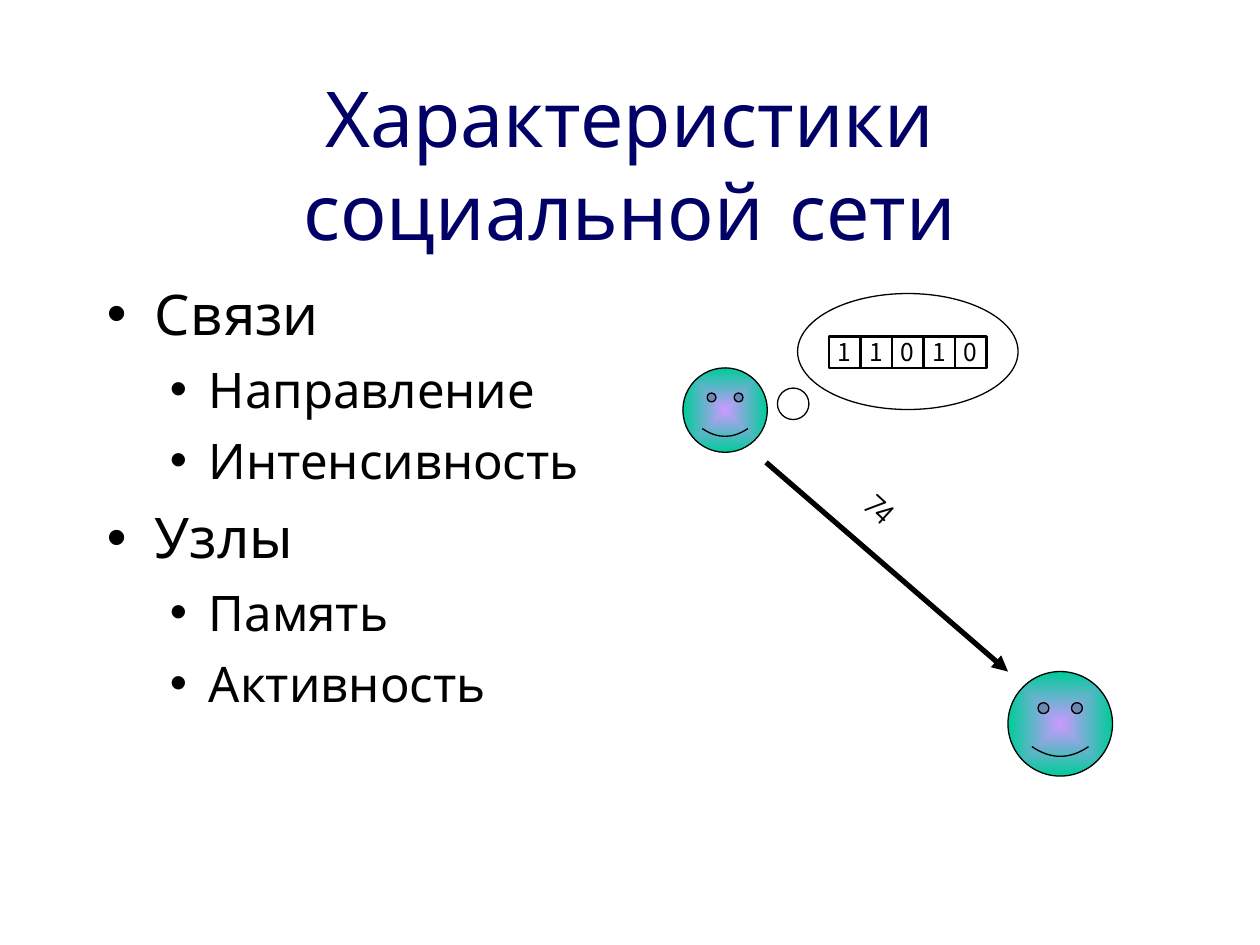
from dataclasses import dataclass
from typing import Any

from lxml import etree
from pptx import Presentation
from pptx.dml import color
from pptx.enum import shapes, text
from pptx.oxml import ns
from pptx.util import Inches, Pt

BLACK, WHITE, NAVY = "000000", "FFFFFF", "000066"
LILAC, GREEN = "CC99FF", "00CC99"
HAND_FONT, DIGIT_FONT = "Comic Neue", "Noto Sans CJK KR"


@dataclass(frozen=True)
class Figure:
    kind: Any
    left: float
    top: float
    width: float
    height: float
    line: float = 0.74
    label: str = ""


@dataclass(frozen=True)
class Level:
    size: float
    before: float
    margin: float
    hanging: float


LEVELS = (Level(32, 8, 0.38, 0.38), Level(28, 7, 0.81, 0.31))
TOPICS = {
    "Связи": ("Направление", "Интенсивность"),
    "Узлы": ("Память", "Активность"),
}
OVAL = shapes.MSO_SHAPE.OVAL
FACE = shapes.MSO_SHAPE.SMILEY_FACE
CELL = shapes.MSO_SHAPE.RECTANGLE
CELL_SIZE = 0.25
MEMORY = [
    Figure(CELL, 6.58 + index * CELL_SIZE, 2.67, CELL_SIZE, CELL_SIZE, 1.25, bit)
    for index, bit in enumerate("11010")
]
FIGURES = [
    Figure(OVAL, 6.33, 2.33, 1.75, 0.92),
    Figure(FACE, 5.42, 2.92, 0.67, 0.67),
    Figure(OVAL, 6.17, 3.08, 0.25, 0.25),
    *MEMORY,
    Figure(FACE, 8, 5.33, 0.83, 0.83),
]


def rgb(value: str) -> color.RGBColor:
    return color.RGBColor.from_string(value)


def apply(target: Any, values: dict[str, Any]) -> None:
    for name, value in values.items():
        setattr(target, name, value)


def add_node(parent: Any, tag: str, **values: str) -> Any:
    return etree.SubElement(parent, ns.qn(tag), values)


def write(para: Any, words: str, size: float, font: str, ink: str = BLACK) -> None:
    span = para.add_run()
    span.text = words
    apply(span.font, {"size": Pt(size), "name": font})
    span.font.color.rgb = rgb(ink)
    props = span.font._element
    for tag in ("a:ea", "a:cs"):
        add_node(props, tag, typeface=font)


def add_bullet(para: Any, words: str, depth: int) -> None:
    level = LEVELS[depth]
    apply(para, {"level": depth, "space_before": Pt(level.before)})
    props = para._p.get_or_add_pPr()
    props.set("marL", str(Inches(level.margin)))
    props.set("indent", str(-Inches(level.hanging)))
    add_node(add_node(props, "a:buClr"), "a:srgbClr", val=BLACK)
    add_node(props, "a:buFont", typeface="Arial")
    add_node(props, "a:buChar", char="•")
    write(para, words, level.size, HAND_FONT)


def fill_face(shape: Any) -> None:
    shape.adjustments[0] = 0.093
    shape.fill.gradient()
    for stop, ink in zip(shape.fill.gradient_stops, (LILAC, GREEN)):
        stop.color.rgb = rgb(ink)
    gradient = shape._element.spPr.find(ns.qn("a:gradFill"))
    gradient.remove(gradient.find(ns.qn("a:lin")))
    center = add_node(gradient, "a:path", path="rect")
    add_node(center, "a:fillToRect", l="50000", t="50000", r="50000", b="50000")


def add_figure(page: Any, figure: Figure) -> None:
    place = (figure.left, figure.top, figure.width, figure.height)
    shape = page.shapes.add_shape(figure.kind, *map(Inches, place))
    shape.shadow.inherit = False
    shape.line.color.rgb = rgb(BLACK)
    shape.line.width = Pt(figure.line)
    if figure.kind == FACE:
        fill_face(shape)
    else:
        shape.fill.solid()
        shape.fill.fore_color.rgb = rgb(WHITE)
    if figure.label:
        frame = shape.text_frame
        apply(frame, {"word_wrap": False, "vertical_anchor": text.MSO_ANCHOR.MIDDLE})
        para = frame.paragraphs[0]
        para.alignment = text.PP_ALIGN.CENTER
        write(para, figure.label, 14, DIGIT_FONT)


def add_arrow(page: Any, start: tuple[float, float], end: tuple[float, float]) -> None:
    points = map(Inches, (*start, *end))
    arrow = page.shapes.add_connector(shapes.MSO_CONNECTOR.STRAIGHT, *points)
    arrow.line.color.rgb = rgb(BLACK)
    arrow.line.width = Pt(3)
    add_node(arrow.line._get_or_add_ln(), "a:tailEnd", type="triangle")
    add_node(arrow._element.spPr, "a:effectLst")


def add_title(page: Any) -> None:
    title = page.shapes.title
    apply(title, {
        "left": Inches(0.75), "top": Inches(0.67),
        "width": Inches(8.5), "height": Inches(1.25),
    })
    apply(title.text_frame, {
        "word_wrap": True,
        "auto_size": text.MSO_AUTO_SIZE.NONE,
        "vertical_anchor": text.MSO_ANCHOR.MIDDLE,
    })
    para = title.text_frame.paragraphs[0]
    para.alignment = text.PP_ALIGN.CENTER
    write(para, "Характеристики социальной сети", 44, HAND_FONT, NAVY)


def add_topics(page: Any) -> None:
    box = page.shapes.add_textbox(*map(Inches, (0.75, 2.17, 8.5, 4.5)))
    frame = box.text_frame
    frame.word_wrap = True
    entries = [
        entry
        for topic, details in TOPICS.items()
        for entry in ((topic, 0), *((detail, 1) for detail in details))
    ]
    for index, (words, depth) in enumerate(entries):
        para = frame.add_paragraph() if index else frame.paragraphs[0]
        add_bullet(para, words, depth)


def add_weight(page: Any) -> None:
    box = page.shapes.add_textbox(*map(Inches, (6.75, 3.92, 0.67, 0.4)))
    box.rotation = 42.5
    apply(box.text_frame, {
        "word_wrap": True, "auto_size": text.MSO_AUTO_SIZE.SHAPE_TO_FIT_TEXT,
    })
    para = box.text_frame.paragraphs[0]
    para.space_before = Pt(11.2)
    write(para, "74", 18, HAND_FONT)


deck = Presentation()
apply(deck, {"slide_width": Inches(10), "slide_height": Inches(7.5)})
page = deck.slides.add_slide(deck.slide_layouts.get_by_name("Title Only"))
add_title(page)
add_topics(page)
for figure in FIGURES:
    add_figure(page, figure)
add_arrow(page, (6.08, 3.67), (8, 5.33))
add_weight(page)
deck.save("out.pptx")
